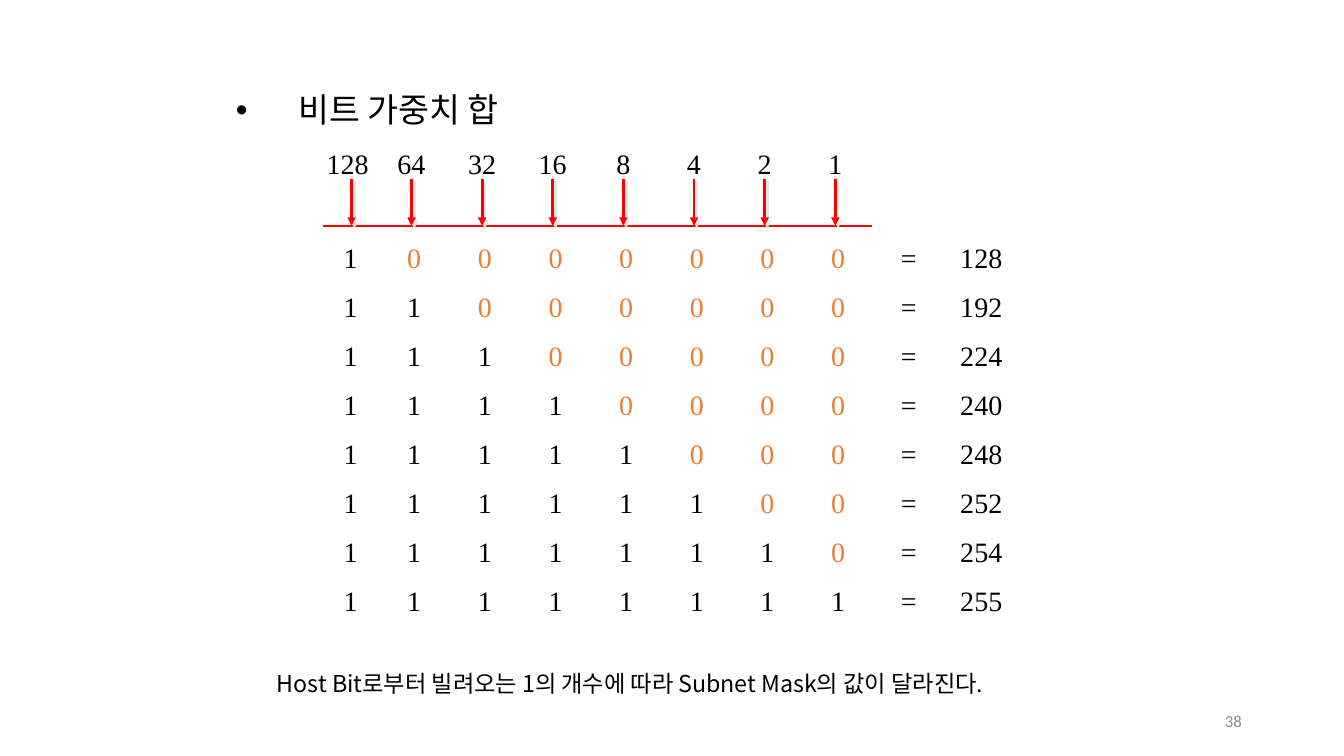
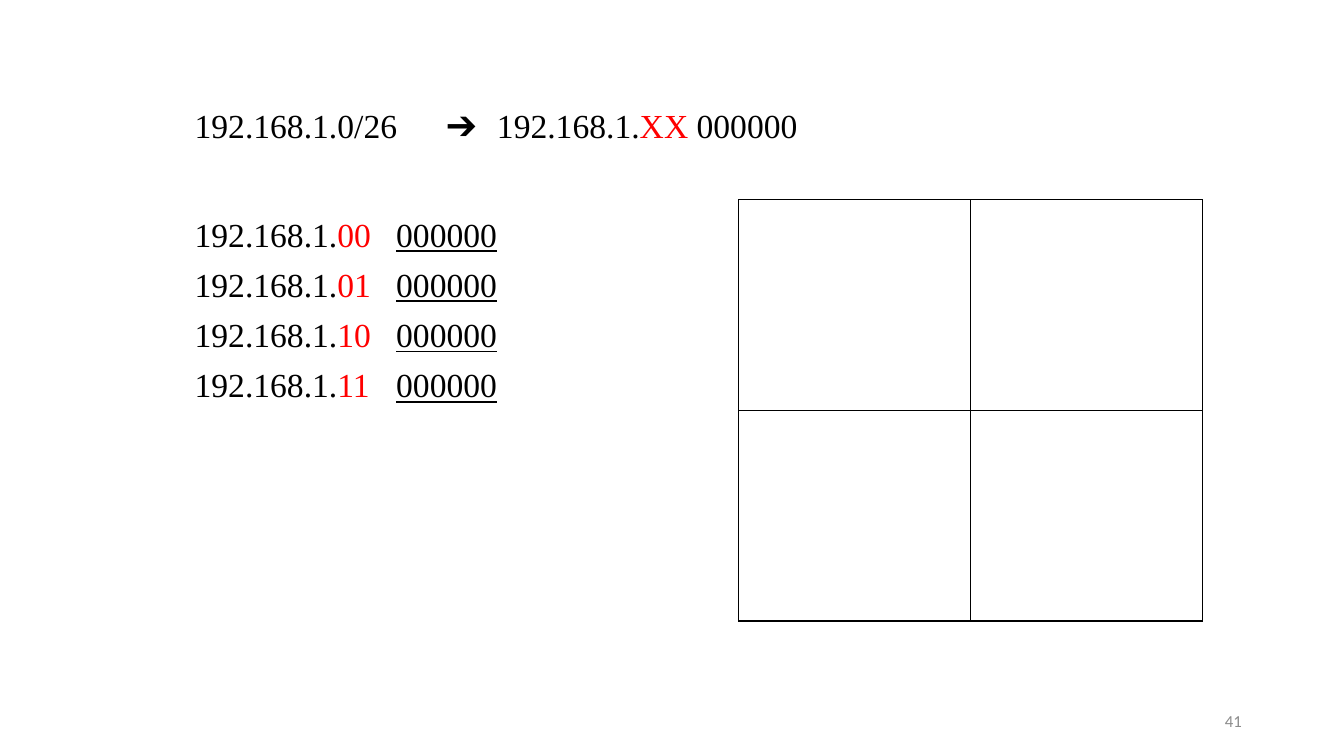
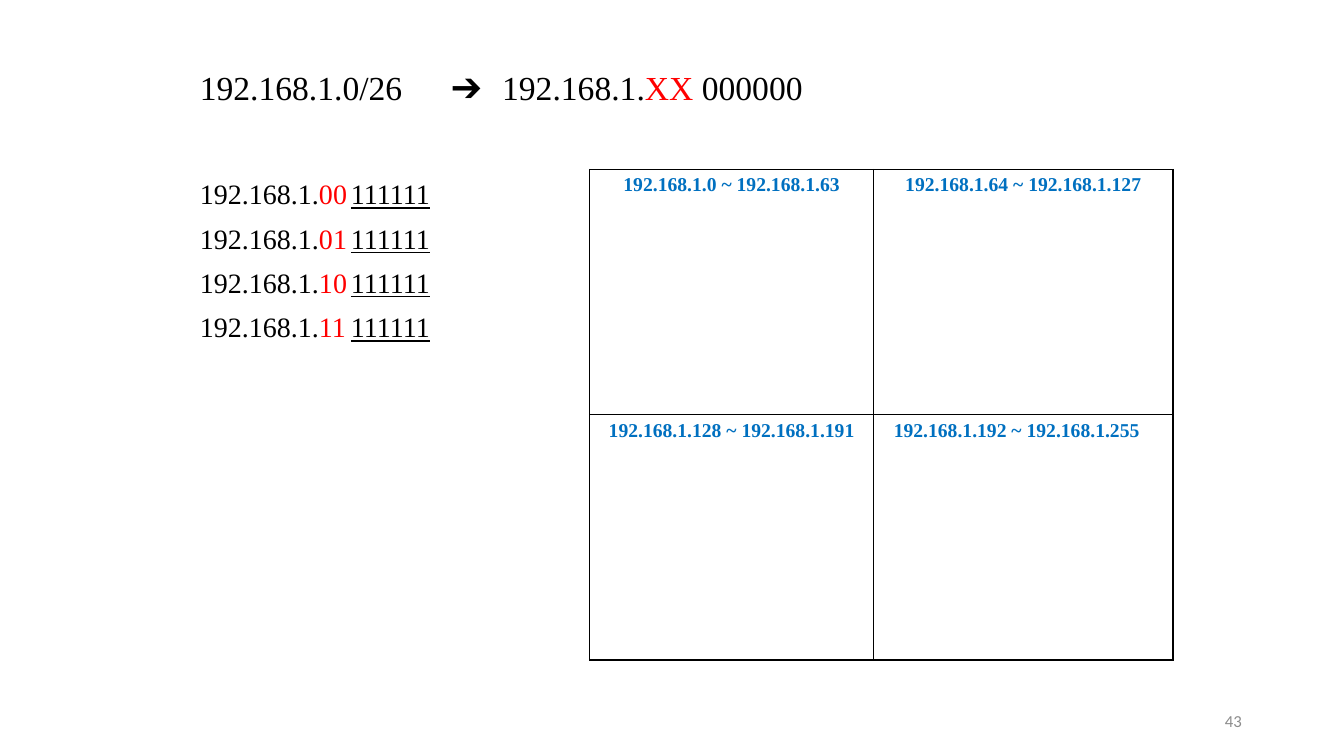
from dataclasses import dataclass

from lxml import etree
from pptx import Presentation
from pptx.dml.color import RGBColor
from pptx.enum.shapes import MSO_CONNECTOR
from pptx.enum.text import MSO_ANCHOR, MSO_AUTO_SIZE, PP_ALIGN
from pptx.oxml.ns import qn
from pptx.util import Cm, Pt

STRAIGHT = MSO_CONNECTOR.STRAIGHT
MIDDLE = MSO_ANCHOR.MIDDLE
FIXED = MSO_AUTO_SIZE.NONE
LEFT, CENTER, RIGHT = PP_ALIGN.LEFT, PP_ALIGN.CENTER, PP_ALIGN.RIGHT


@dataclass(frozen=True)
class Theme:
    serif: str = "Times New Roman"
    korean: str = "Noto Sans CJK KR"
    plain: str = "Calibri"
    ink: str = "000000"
    accent: str = "FF0000"
    zero: str = "ED7D31"
    address: str = "0070C0"
    shadow: str = "E7E6E6"
    muted: str = "8C8C8C"
    heading: float = 24
    text: float = 20
    note: float = 16.6
    label: float = 14
    page: float = 12


THEME = Theme()
TITLE_ONLY, TITLE_AND_CONTENT = 5, 1

BITS = 8
WEIGHTS = [2 ** power for power in reversed(range(BITS))]
WEIGHT_TITLE = "비트 가중치 합"
WEIGHT_NOTE = "Host Bit로부터 빌려오는 1의 개수에 따라 Subnet Mask의 값이 달라진다."

NETWORK = "192.168.1."
SUBNETS = ["00", "01", "10", "11"]

# Positions and lengths are in centimetres.
SUBNET_PAGES = [
    dict(number=41, body=(4.65, 2.62, 21.89, 13.41), size=THEME.heading,
         host="000000", host_stop=4.88, table=(18.62, 5.03),
         columns=[5.84, 5.84], row_height=5.31, cells=[["", ""], ["", ""]]),
    dict(number=43, body=(4.78, 1.68, 21.89, 16.46), size=THEME.text,
         host="111111", host_stop=4.06, table=(14.86, 4.27),
         columns=[7.16, 7.54], row_height=6.18,
         cells=[["192.168.1.0 ~ 192.168.1.63", "192.168.1.64 ~ 192.168.1.127"],
                ["192.168.1.128 ~ 192.168.1.191", "192.168.1.192 ~ 192.168.1.255"]]),
]

BIT_STEP = 1.78
BIT_STOPS = [BIT_STEP * place for place in range(1, BITS + 1)]
SUM_STOP = 15.54
WEIGHT_STOPS = [2.14 + BIT_STEP * place for place in range(BITS - 1)]
HEADER_LEFT, HEADER_INSET = 7.9, 0.33
FIRST_ARROW = 8.86
ARROW_TOP, RULE_Y = 4.5, 5.69
HEADING_STOPS = [5.5, 6.93]


def add_node(parent, tag, **attributes):
    return etree.SubElement(parent, qn(tag), attributes)


def add_span(para, text, size, color=THEME.ink, font=THEME.serif, bold=False, underline=False):
    span = para.add_run()
    span.text = text
    span.font.size = Pt(size)
    span.font.name = font
    span.font.bold = bold
    span.font.underline = underline
    span.font.color.rgb = RGBColor.from_string(color)
    add_node(span._r.get_or_add_rPr(), "a:ea", typeface=font)


def set_indent(para, left, first=0):
    properties = para._p.get_or_add_pPr()
    properties.set("marL", str(Cm(left)))
    properties.set("indent", str(Cm(first)))
    return properties


def set_tabs(para, stops):
    """Add tab stops given as (position, alignment) pairs."""
    tab_list = add_node(para._p.get_or_add_pPr(), "a:tabLst")
    for position, alignment in stops:
        add_node(tab_list, "a:tab", pos=str(Cm(position)), algn=alignment)


def next_para(frame):
    """Return the first paragraph while it is empty, then new ones."""
    first = frame.paragraphs[0]
    return frame.add_paragraph() if first.runs else first


def place(shape, left, top, width, height):
    shape.left, shape.top, shape.width, shape.height = map(Cm, (left, top, width, height))
    shape.text_frame.auto_size = FIXED
    return shape.text_frame


def add_box(page, left, top, width, height, inset=(0.25, 0.13)):
    box = page.shapes.add_textbox(0, 0, 0, 0)
    frame = place(box, left, top, width, height)
    frame.word_wrap = True
    frame.margin_left = frame.margin_right = Cm(inset[0])
    frame.margin_top = frame.margin_bottom = Cm(inset[1])
    return frame


def add_page(deck, layout, number):
    page = deck.slides.add_slide(deck.slide_layouts[layout])
    frame = add_box(page, 23.93, 17.65, 7.62, 1.02)
    frame.vertical_anchor = MIDDLE
    para = frame.paragraphs[0]
    para.alignment = RIGHT
    add_span(para, str(number), THEME.page, THEME.muted, THEME.plain)
    return page


def add_line(page, start, end, width, arrow=False):
    line = page.shapes.add_connector(STRAIGHT, *map(Cm, start + end))
    line.line.color.rgb = RGBColor.from_string(THEME.accent)
    line.line.width = Pt(width)
    if arrow:
        add_node(line.line._get_or_add_ln(), "a:tailEnd", type="triangle")
    effects = add_node(line._element.spPr, "a:effectLst")
    if arrow:
        shadow = add_node(effects, "a:outerShdw", blurRad="0", dist=str(Pt(2.8)),
                          dir="2700000", algn="ctr", rotWithShape="0")
        add_node(shadow, "a:srgbClr", val=THEME.shadow)


def add_weight_page(deck):
    page = add_page(deck, TITLE_ONLY, 38)

    title = place(page.shapes.title, 5.69, 0.97, 21.89, 3.68)
    title.vertical_anchor = MIDDLE
    para = title.paragraphs[0]
    para.alignment = LEFT
    para.line_spacing = 0.9
    properties = set_indent(para, 1.57, -1.57)
    add_node(properties, "a:buFont", typeface="Arial")
    add_node(properties, "a:buChar", char="•")
    add_span(para, WEIGHT_TITLE, THEME.heading, font=THEME.korean)

    inset = (HEADER_INSET, 0.15)
    header = add_box(page, HEADER_LEFT, 3.53, 14.6, 1.19, inset).paragraphs[0]
    set_tabs(header, [(stop, "ctr") for stop in WEIGHT_STOPS])
    add_span(header, "\t".join(map(str, WEIGHTS)), THEME.text)

    add_line(page, (8.15, RULE_Y), (21.97, RULE_Y), 1)
    for x in [FIRST_ARROW] + [HEADER_LEFT + HEADER_INSET + stop for stop in WEIGHT_STOPS]:
        add_line(page, (x, ARROW_TOP), (x, RULE_Y), 2, arrow=True)

    frame = add_box(page, 8.33, 5.92, 18, 10.16, inset)
    stops = [(stop, "ctr") for stop in BIT_STOPS] + [(SUM_STOP, "l")]
    for ones in range(1, BITS + 1):
        para = next_para(frame)
        para.space_before = Pt(11)
        set_tabs(para, stops)
        add_span(para, "1\t" * ones, THEME.text)
        if ones < BITS:
            add_span(para, "0\t" * (BITS - ones), THEME.text, THEME.zero)
        add_span(para, f"=\t{sum(WEIGHTS[:ones])}", THEME.text)

    note = add_box(page, 6.83, 16.74, 20, 0.97, (0.15, 0.13)).paragraphs[0]
    add_span(note, WEIGHT_NOTE, THEME.note, font=THEME.korean)


def add_body_para(frame, space, stops):
    para = next_para(frame)
    para.line_spacing = 0.9
    para.space_before = Pt(space)
    add_node(set_indent(para, 0), "a:buNone")
    set_tabs(para, [(stop, "l") for stop in stops])
    return para


def outline_cell(cell):
    cell.fill.background()
    properties = cell._tc.get_or_add_tcPr()
    for index, side in enumerate(("a:lnL", "a:lnR", "a:lnT", "a:lnB")):
        border = etree.Element(qn(side), w=str(Pt(1)))
        add_node(add_node(border, "a:solidFill"), "a:srgbClr", val=THEME.ink)
        properties.insert(index, border)


def add_range_table(page, corner, columns, row_height, cells):
    shape = page.shapes.add_table(len(cells), len(columns), *map(Cm, corner),
                                  Cm(sum(columns)), Cm(row_height * len(cells)))
    table = shape.table
    table.first_row = table.horz_banding = False
    for column, width in zip(table.columns, columns):
        column.width = Cm(width)
    last = cells[-1][-1]
    for row, texts in zip(table.rows, cells):
        row.height = Cm(row_height)
        for cell, text in zip(row.cells, texts):
            outline_cell(cell)
            if not text:
                continue
            para = cell.text_frame.paragraphs[0]
            if text == last:
                set_indent(para, 0.25)
            else:
                para.alignment = CENTER
            add_span(para, text, THEME.label, THEME.address, bold=True)


def add_subnet_page(deck, content):
    page = add_page(deck, TITLE_AND_CONTENT, content["number"])
    title = page.shapes.title._element
    title.getparent().remove(title)

    frame = place(page.placeholders[1], *content["body"])
    heading = add_body_para(frame, 10, HEADING_STOPS)
    add_span(heading, f"{NETWORK}0/26\t➔\t{NETWORK}", THEME.heading)
    add_span(heading, "XX", THEME.heading, THEME.accent)
    add_span(heading, " 000000", THEME.heading)

    size = content["size"]
    for index, bits in enumerate(SUBNETS):
        para = add_body_para(frame, 10 if index else 52, [content["host_stop"]])
        add_span(para, NETWORK, size)
        add_span(para, f"{bits}\t", size, THEME.accent)
        add_span(para, content["host"], size, underline=True)

    add_range_table(page, content["table"], content["columns"],
                    content["row_height"], content["cells"])


def main():
    deck = Presentation()
    deck.slide_width, deck.slide_height = Cm(33.87), Cm(19.05)
    add_weight_page(deck)
    for content in SUBNET_PAGES:
        add_subnet_page(deck, content)
    deck.save("out.pptx")


if __name__ == "__main__":
    main()
